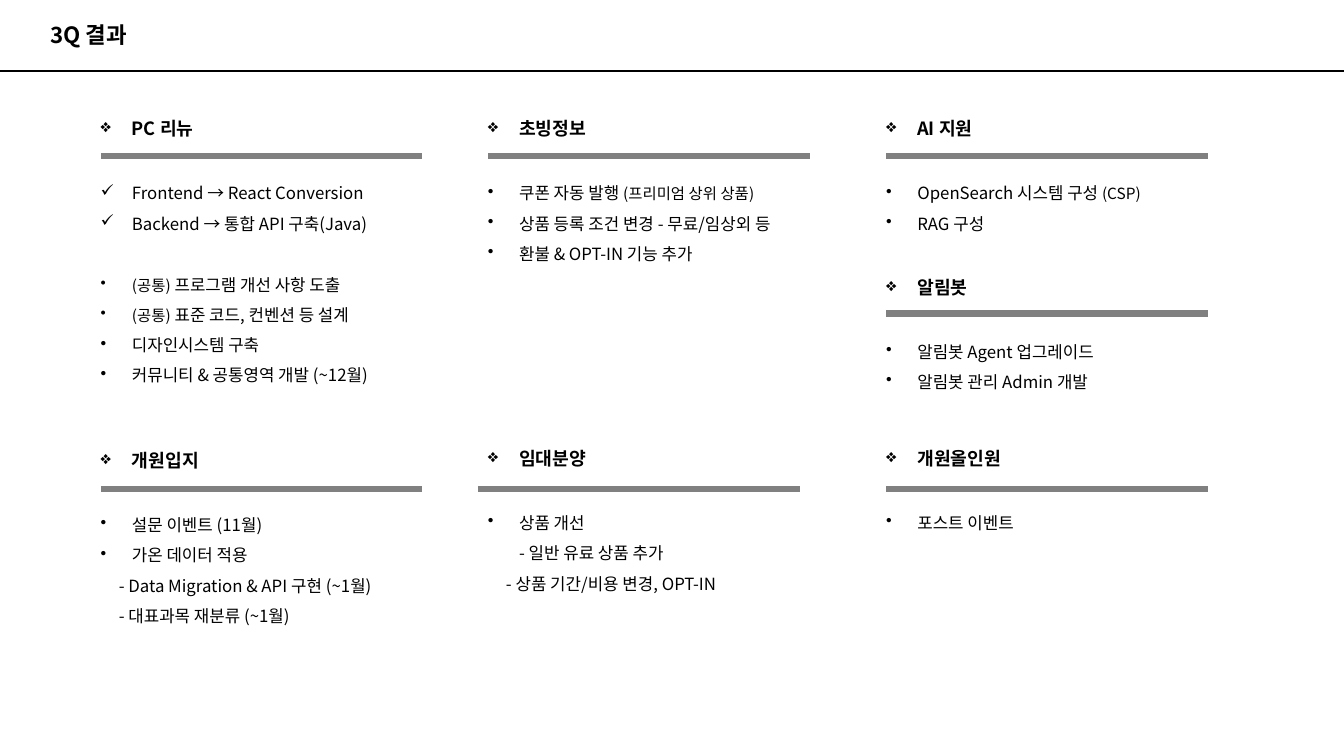
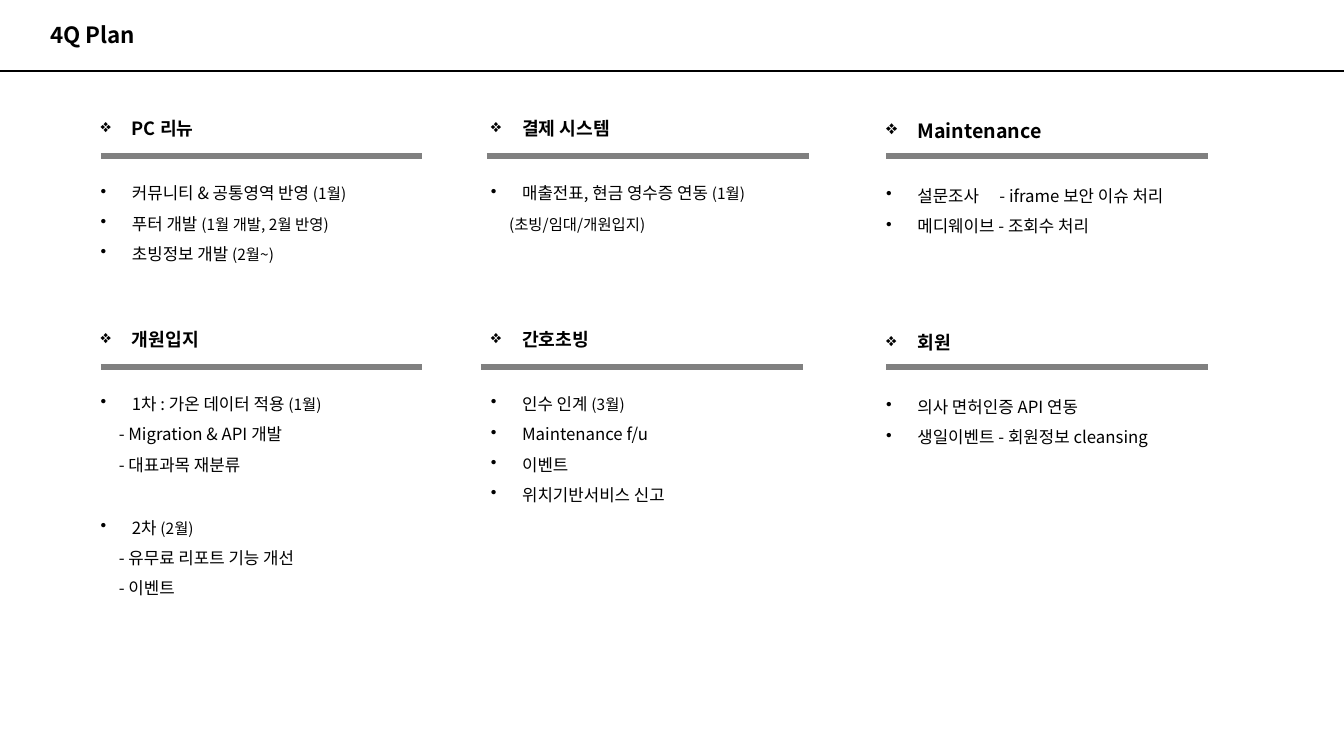
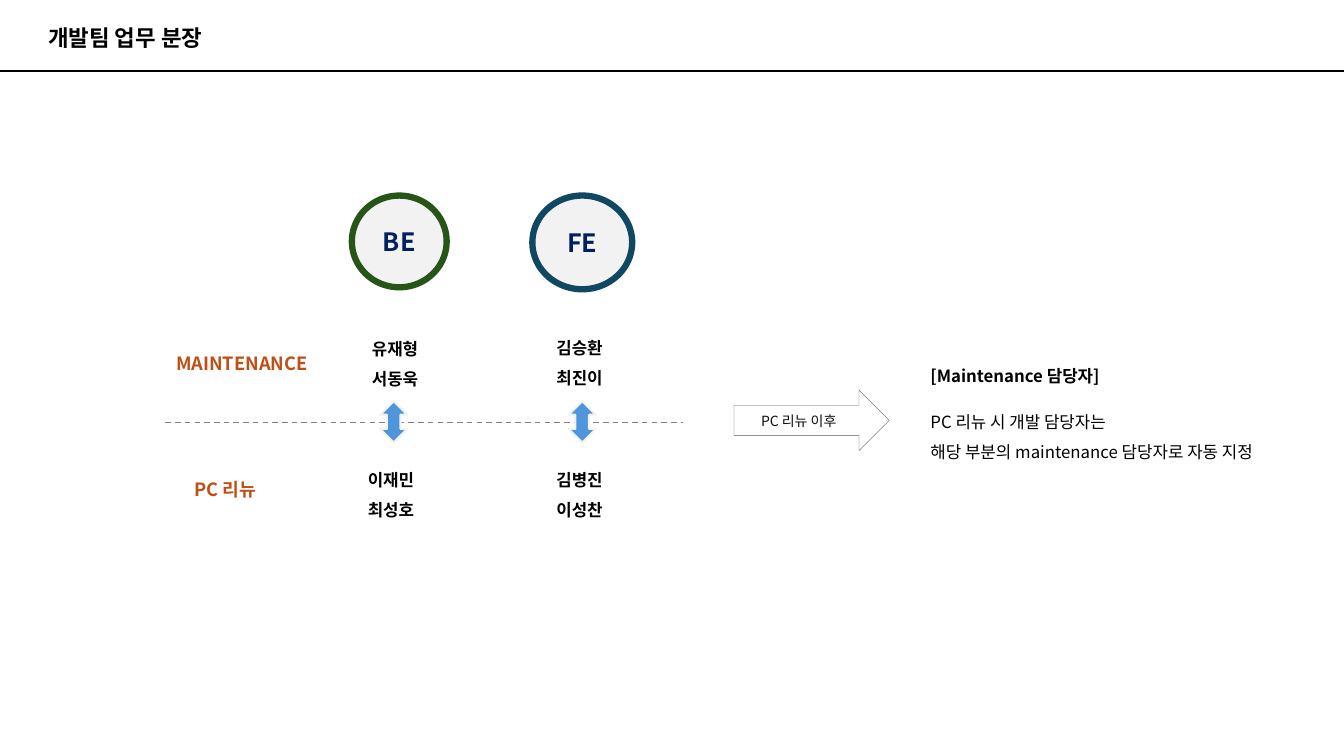
from dataclasses import dataclass, replace

from lxml import etree
from pptx import Presentation
from pptx.dml.color import RGBColor
from pptx.enum import dml, shapes, text
from pptx.oxml import ns
from pptx.util import Inches, Pt

FONT = "Noto Sans CJK KR"
BLACK, GREY, PALE, RUST, NAVY = "000000", "808080", "F2F2F2", "C04F15", "002060"
TIGHT, LOOSE = 1.2, 1.8  # line height as a multiple of the text size
HANG, SUB = 0.31, 0.18
RULE = 3.19
WIDE = 1200  # letter spacing of a lone space, in 1/100 pt


@dataclass
class Para:
    text: str  # parts between bars are set one point smaller
    mark: str = ""
    indent: float = 0
    gap: float = 0
    size: float = 12
    bold: bool = False
    color: str = BLACK
    lead: float = LOOSE
    align: text.PP_ALIGN = text.PP_ALIGN.LEFT


@dataclass
class Block:
    x: float
    y: float
    head: str
    rule: tuple[float, float]
    items: list[Para]
    size: float = 13


def dot(words: str, gap: float = 0, mark: str = "•") -> Para:
    return Para(words, mark, HANG, gap)


def sub(words: str, indent: float = SUB) -> Para:
    return Para(words, indent=indent)


def rgb(code: str) -> RGBColor:
    return RGBColor.from_string(code)


# Text
def fill_text(frame, paras: list[Para]) -> None:
    frame.word_wrap = True
    for i, para in enumerate(paras):
        p = frame.paragraphs[0] if i == 0 else frame.add_paragraph()
        look = {"alignment": para.align, "space_before": Pt(para.gap),
                "line_spacing": Pt(round(para.size * para.lead, 1))}
        for name, value in look.items():
            setattr(p, name, value)
        props = p._p.get_or_add_pPr()
        props.set("marL", str(Inches(para.indent)))
        props.set("indent", str(-Inches(para.indent) if para.mark else 0))
        if para.mark:
            etree.SubElement(props, ns.qn("a:buChar")).set("char", para.mark)
        for j, part in enumerate(para.text.split("|")):
            if part:
                add_run(p, part, para, para.size - j % 2)


def add_run(p, part: str, para: Para, size: float) -> None:
    run = p.add_run()
    run.text = part
    look = {"name": FONT, "size": Pt(size), "bold": para.bold}
    for name, value in look.items():
        setattr(run.font, name, value)
    run.font.color.rgb = rgb(para.color)
    props = run._r.get_or_add_rPr()
    etree.SubElement(props, ns.qn("a:ea")).set("typeface", FONT)
    if part == " ":
        props.set("spc", str(WIDE))


def add_text(slide, x: float, y: float, w: float, paras: list[Para]) -> None:
    high = sum(p.size * p.lead + p.gap for p in paras) / 72 + 0.1
    box = slide.shapes.add_textbox(Inches(x), Inches(y), Inches(w), Inches(high))
    fill_text(box.text_frame, paras)


# Lines and shapes
def add_line(slide, x: float, y: float, w: float, color: str, width: float,
             dash=None) -> None:
    line = slide.shapes.add_connector(
        shapes.MSO_CONNECTOR.STRAIGHT, Inches(x), Inches(y), Inches(x + w), Inches(y))
    line.line.color.rgb = rgb(color)
    line.line.width = Pt(width)
    if dash:
        line.line.dash_style = dash
    etree.SubElement(line._element.spPr, ns.qn("a:effectLst"))


def add_shape(slide, kind, at: tuple[float, float, float, float], fill: str,
              edge: str, width: float):
    shape = slide.shapes.add_shape(kind, *map(Inches, at))
    shape.shadow.inherit = False
    if fill:
        shape.fill.solid()
        shape.fill.fore_color.rgb = rgb(fill)
    else:
        shape.fill.background()
    shape.line.color.rgb = rgb(edge)
    shape.line.width = Pt(width)
    return shape


# Slide parts
def add_page(deck, title: str, x: float = 0.4, y: float = 0.16):
    slide = deck.slides.add_slide(deck.slide_layouts[6])
    add_line(slide, 0, 0.7, 13.33, BLACK, 1.5)
    add_text(slide, x, y, 4, [Para(title, size=16, bold=True, lead=TIGHT)])
    return slide


def add_block(slide, block: Block) -> None:
    head = Para(block.head, "❖", HANG, size=block.size, bold=True)
    first, *rest = block.items
    add_text(slide, block.x, block.y, 3.65, [head, replace(first, gap=24), *rest])
    add_line(slide, *block.rule, RULE, GREY, 4.5)


A, B, C = 0.9, 4.74, 8.69  # column lefts
B2 = 4.77

RESULT = [
    Block(A, 1.01, "PC 리뉴", (1, 1.55), [
        dot("Frontend → React Conversion", mark="✓"),
        dot("Backend → 통합 API 구축(Java)", mark="✓"),
        dot("|(공통)| 프로그램 개선 사항 도출", 22),
        dot("|(공통)| 표준 코드, 컨벤션 등 설계"),
        dot("디자인시스템 구축"),
        dot("커뮤니티 & 공통영역 개발 (~12월)")]),
    Block(A, 4.3, "개원입지", (1, 4.85), [
        dot("설문 이벤트 (11월)"),
        dot("가온 데이터 적용"),
        sub("- Data Migration & API 구현 (~1월)"),
        sub("- 대표과목 재분류 (~1월)")]),
    Block(B, 1.01, "초빙정보", (4.84, 1.55), [
        dot("쿠폰 자동 발행 |(프리미엄 상위 상품)"),
        dot("상품 등록 조건 변경 - 무료/임상외 등"),
        dot("환불 & OPT-IN 기능 추가")]),
    Block(B, 4.28, "임대분양", (4.74, 4.85), [
        dot("상품 개선"),
        sub("- 일반 유료 상품 추가", HANG),
        sub("- 상품 기간/비용 변경, OPT-IN")]),
    Block(C, 1.01, "AI 지원", (8.79, 1.55), [
        dot("OpenSearch 시스템 구성 |(CSP)"),
        dot("RAG 구성")]),
    Block(C, 2.58, "알림봇", (8.79, 3.11), [
        dot("알림봇 Agent 업그레이드"),
        dot("알림봇 관리 Admin 개발")]),
    Block(C, 4.28, "개원올인원", (8.79, 4.85), [dot("포스트 이벤트")]),
]

PLAN = [
    Block(A, 1.01, "PC 리뉴", (1, 1.55), [
        dot("커뮤니티 & 공통영역 반영 |(1월)"),
        dot("푸터 개발 |(1월 개발, 2월 반영)"),
        dot("초빙정보 개발 |(2월~)")]),
    Block(A, 3.1, "개원입지", (1, 3.64), [
        dot("1차 : 가온 데이터 적용 |(1월)"),
        sub("- Migration & API 개발"),
        sub("- 대표과목 재분류"),
        dot("2차 |(2월)", 23.4),
        sub("- 유무료 리포트 기능 개선"),
        sub("- 이벤트")]),
    Block(B2, 1.01, "결제 시스템", (4.83, 1.55), [
        dot("매출전표, 현금 영수증 연동 |(1월)"),
        sub("|(초빙/임대/개원입지)")]),
    Block(B2, 3.1, "간호초빙", (4.77, 3.64), [
        dot("인수 인계 |(3월)"),
        dot("Maintenance f/u"),
        dot("이벤트"),
        dot("위치기반서비스 신고")]),
    Block(C, 1.01, "Maintenance", (8.79, 1.55), [
        dot("설문조사| |- iframe 보안 이슈 처리"),
        dot("메디웨이브 - 조회수 처리")], 14),
    Block(C, 3.13, "회원", (8.79, 3.64), [
        dot("의사 면허인증 API 연동"),
        dot("생일이벤트 - 회원정보 cleansing")]),
]

# Team: circles, name pairs and row labels
KIND = shapes.MSO_SHAPE
ROLES = [("FE", (5.28, 1.94, 0.99, 0.93), "104862"),
         ("BE", (3.49, 1.94, 0.94, 0.91), "275417")]
PAIRS = [(3.59, 3.21, "유재형", "서동욱"), (3.55, 4.51, "이재민", "최성호"),
         (5.42, 3.2, "김승환", "최진이"), (5.42, 4.51, "김병진", "이성찬")]
ROWS = [(1.65, 3.45, "MAINTENANCE"), (1.83, 4.7, "PC 리뉴")]


def add_team(slide) -> None:
    for role, at, edge in ROLES:
        ring = add_shape(slide, KIND.OVAL, at, PALE, edge, 4.5)
        ring.text_frame.vertical_anchor = text.MSO_ANCHOR.MIDDLE
        fill_text(ring.text_frame, [Para(role, size=18, bold=True, color=NAVY,
                                         lead=TIGHT, align=text.PP_ALIGN.CENTER)])
    for x, y, *names in PAIRS:
        add_text(slide, x, y, 0.9, [Para(name, bold=True) for name in names])
    for x, y, label in ROWS:
        add_text(slide, x, y, 1.74,
                 [Para(label, size=13, bold=True, color=RUST, lead=TIGHT)])
    # Divider and swap arrows
    add_line(slide, 1.64, 4.19, 5.13, GREY, 1, dml.MSO_LINE.DASH)
    for x in (3.77, 5.64):
        add_shape(slide, KIND.UP_DOWN_ARROW, (x, 3.98, 0.27, 0.41), "4E95D9", PALE, 1.5)
    # Next step
    add_shape(slide, KIND.RIGHT_ARROW, (7.28, 3.87, 1.54, 0.6), "", "595959", 0.25)
    add_text(slide, 7.45, 4.04, 1.2,
             [Para("PC 리뉴 이후", size=10, color="0D0D0D", lead=TIGHT)])
    add_text(slide, 9.13, 3.48, 3.9, [
        Para("[Maintenance 담당자]", bold=True),
        Para("PC 리뉴 시 개발 담당자는", gap=11),
        Para("해당 부분의 maintenance 담당자로 자동 지정")])


def main() -> None:
    deck = Presentation()
    deck.slide_width, deck.slide_height = Inches(13.33), Inches(7.5)
    for title, blocks in (("3Q 결과", RESULT), ("4Q Plan", PLAN)):
        slide = add_page(deck, title)
        for block in blocks:
            add_block(slide, block)
    add_team(add_page(deck, "개발팀 업무 분장", 0.38, 0.19))
    deck.save("out.pptx")


if __name__ == "__main__":
    main()
